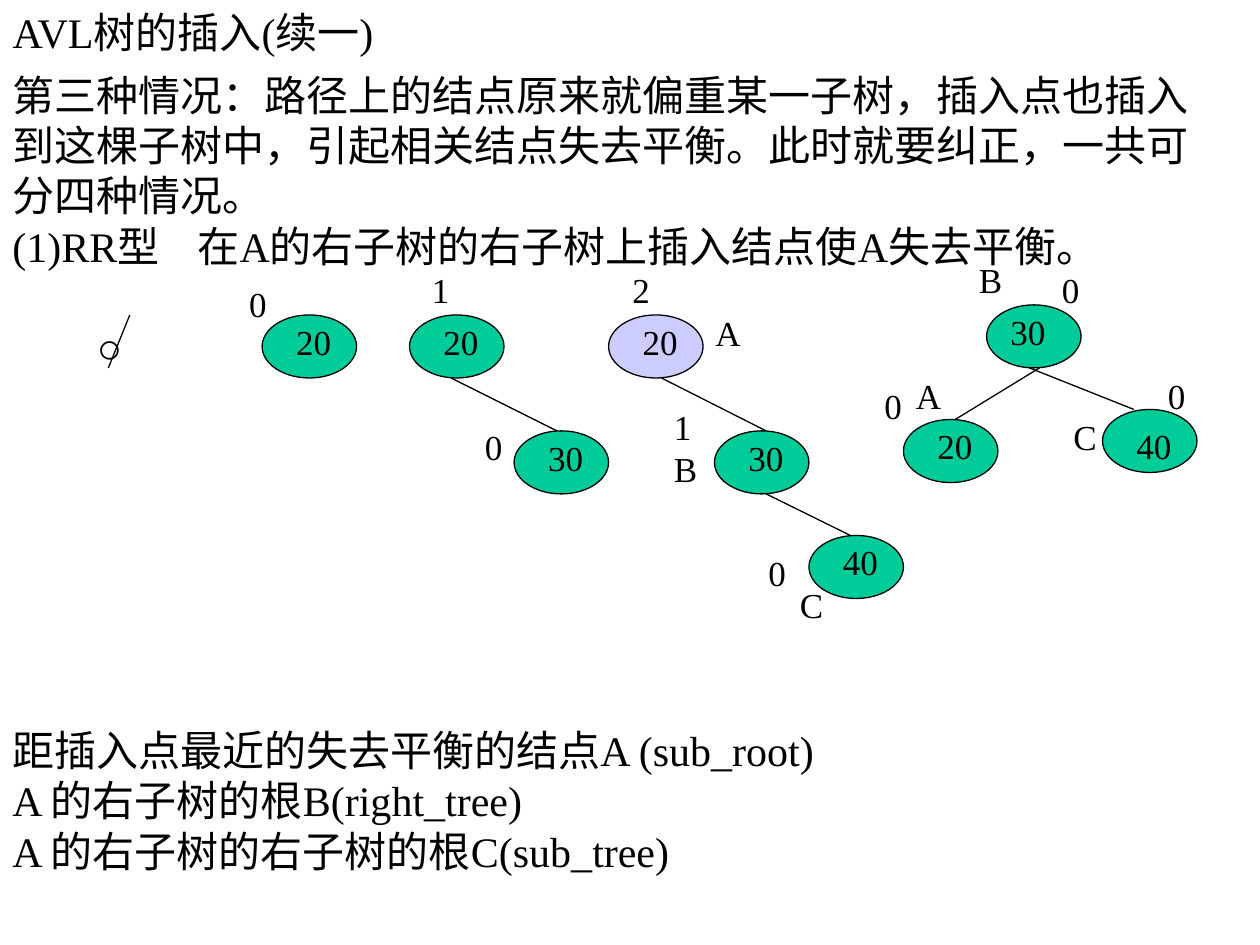
from lxml.etree import SubElement
from pptx import Presentation
from pptx.dml.color import RGBColor
from pptx.enum.shapes import MSO_CONNECTOR, MSO_SHAPE
from pptx.enum.text import MSO_ANCHOR, PP_ALIGN
from pptx.oxml.ns import qn
from pptx.util import Inches, Pt

FONT = "Times New Roman"
BLACK, GREEN, LILAC = "000000", "00CC99", "CCCCFF"
NODE_WIDTH, NODE_HEIGHT = 0.75, 0.5


def color(value):
    """Turn a hex string into a colour."""
    return RGBColor.from_string(value)


def write_text(frame, lines, size):
    """Fill a text frame with left-aligned lines in the slide's font."""
    frame.word_wrap = True
    frame.text = "\n".join(lines)
    for para in frame.paragraphs:
        para.alignment = PP_ALIGN.LEFT
        for span in para.runs:
            span.font.name = FONT
            span.font.size = Pt(size)
            span.font.color.rgb = color(BLACK)


def add_text(page, left, top, width, height, lines, size):
    """Add a text box and return its frame."""
    box = page.shapes.add_textbox(Inches(left), Inches(top), Inches(width), Inches(height))
    write_text(box.text_frame, lines, size)
    return box.text_frame


def add_line(page, start, end):
    """Add a thin black straight line."""
    line = page.shapes.add_connector(
        MSO_CONNECTOR.STRAIGHT, *(Inches(value) for value in (*start, *end)))
    line.line.color.rgb = color(BLACK)
    line.line.width = Pt(0.75)
    SubElement(line._element.spPr, qn("a:effectLst"))


def add_node(page, left, top, key, fill=GREEN, shift=(0.17, 0)):
    """Add an oval tree node whose key is shifted from its top left corner."""
    node = page.shapes.add_shape(
        MSO_SHAPE.OVAL, Inches(left), Inches(top), Inches(NODE_WIDTH), Inches(NODE_HEIGHT))
    node.shadow.inherit = False
    node.fill.solid()
    node.fill.fore_color.rgb = color(fill)
    node.line.color.rgb = color(BLACK)
    node.line.width = Pt(0.75)
    frame = node.text_frame
    write_text(frame, [key], 20)
    frame.vertical_anchor = MSO_ANCHOR.MIDDLE
    across, down = shift
    frame.margin_left, frame.margin_right = Inches(across - 0.01), 0
    frame.margin_top, frame.margin_bottom = Inches(down), Inches(0.08 - down)


def add_tree(page, left, top, nodes, edges, labels):
    """Draw one tree, with all its parts placed relative to its corner."""
    for x, y, *details in nodes:
        add_node(page, left + x, top + y, *details)
    for x1, y1, x2, y2 in edges:
        add_line(page, (left + x1, top + y1), (left + x2, top + y2))
    for x, y, label in labels:
        width = 0.5 if label.isdigit() else 0.42
        add_text(page, left + x, top + y, width, 0.44, [label], 20)


def add_empty_tree(page, left, top):
    """Draw the struck-out circle that stands for an empty tree."""
    add_text(page, left, top, 0.6, 0.5, ["○"], 24)
    add_line(page, (left + 0.36, top), (left + 0.19, top + 0.42))


def add_title(page, left, top, width, height):
    """Place and format the title."""
    title = page.shapes.title
    title.left, title.top = Inches(left), Inches(top)
    title.width, title.height = Inches(width), Inches(height)
    write_text(title.text_frame, ["AVL树的插入(续一)"], 24)
    title.text_frame.vertical_anchor = MSO_ANCHOR.MIDDLE


def add_introduction(page, left, top, width, height):
    """Add the explanation above the trees, with a tab after the case name."""
    frame = add_text(page, left, top, width, height, [
        "第三种情况：路径上的结点原来就偏重某一子树，插入点也插入",
        "到这棵子树中，引起相关结点失去平衡。此时就要纠正，一共可",
        "分四种情况。",
        "(1)RR型\t在A的右子树的右子树上插入结点使A失去平衡。",
    ], 24)
    properties = frame.paragraphs[-1]._p.get_or_add_pPr()
    tabs = SubElement(properties, qn("a:tabLst"))
    SubElement(tabs, qn("a:tab"), pos=str(Inches(1.47)), algn="l")


def add_legend(page, left, top, width, height):
    """Add the meaning of the letters A, B and C."""
    add_text(page, left, top, width, height, [
        "距插入点最近的失去平衡的结点A (sub_root)",
        "A 的右子树的根B(right_tree)",
        "A 的右子树的右子树的根C(sub_tree)",
    ], 24)


def main():
    """Build the slide and save the deck."""
    deck = Presentation()
    deck.slide_width, deck.slide_height = Inches(10), Inches(7.5)
    page = deck.slides.add_slide(deck.slide_layouts[5])
    add_title(page, 0, 0, 8.5, 0.5)
    add_introduction(page, 0, 0.5, 9.75, 1.7)
    add_empty_tree(page, 0.67, 2.5)
    add_tree(page, 2.08, 2.5, [(0, 0, "20")], [], [(-0.2, -0.31, "0")])
    add_tree(page, 3.25, 2.5,
             [(0, 0, "20"), (0.83, 0.92, "30")],
             [(0.33, 0.5, 1.17, 0.92)],
             [(0.08, -0.42, "1"), (0.5, 0.83, "0")])
    add_tree(page, 4.83, 2.5,
             [(0, 0, "20", LILAC), (0.84, 0.92, "30"), (1.59, 1.75, "40")],
             [(0.42, 0.5, 1.25, 0.92), (1.25, 1.42, 1.92, 1.75)],
             [(0.09, -0.42, "2"), (0.42, 0.67, "1"), (1.17, 1.83, "0"),
              (0.75, -0.08, "A"), (0.42, 1, "B"), (1.42, 2.08, "C")])
    add_tree(page, 7.83, 2.42,
             [(0, 0, "30", GREEN, (0.09, 0)), (-0.66, 0.91, "20"),
              (0.92, 0.83, "40", GREEN, (0.17, 0.08))],
             [(0.42, 0.5, -0.25, 0.91), (0.34, 0.5, 1.17, 0.83)],
             [(0.5, -0.34, "0"), (-0.91, 0.58, "0"), (1.34, 0.5, "0"),
              (-0.16, -0.42, "B"), (-0.66, 0.5, "A"), (0.59, 0.83, "C")])
    add_legend(page, 0, 5.7, 9.75, 1.3)
    deck.save("out.pptx")


if __name__ == "__main__":
    main()
